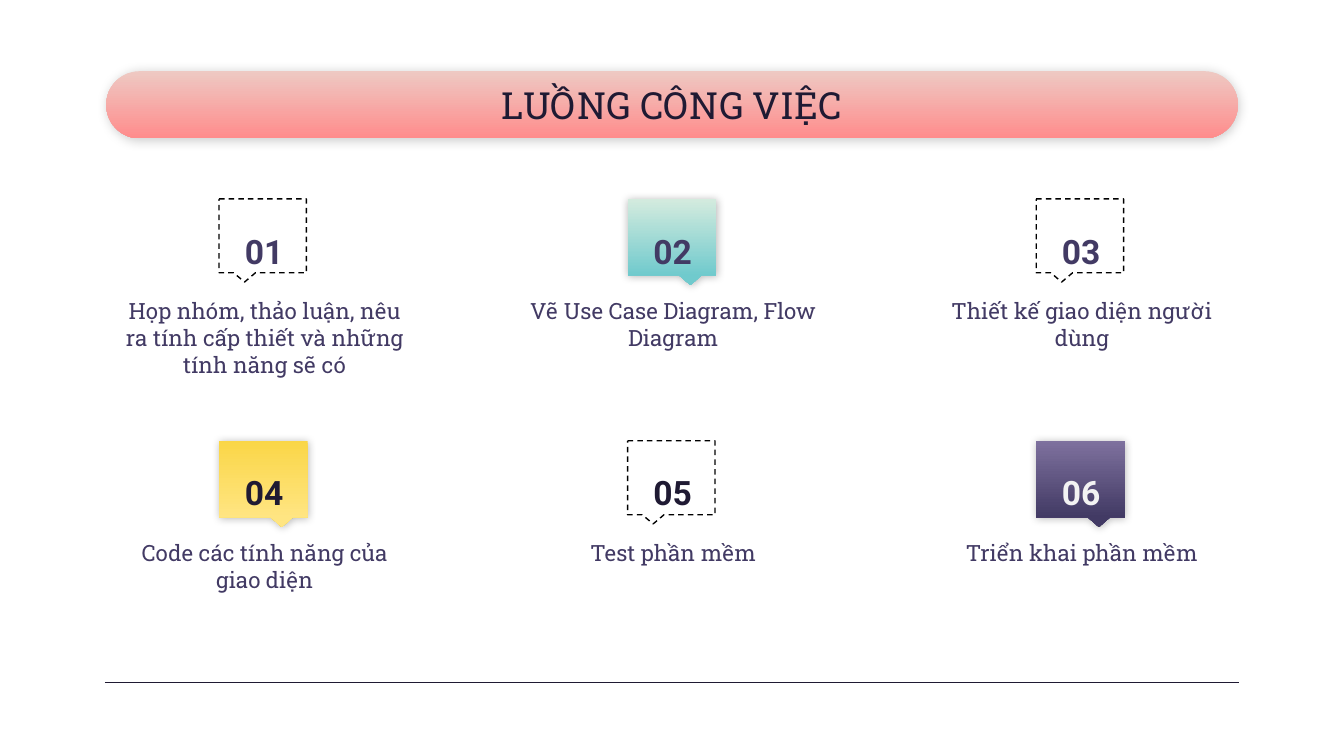
from lxml.etree import SubElement
from pptx import Presentation
from pptx.dml.color import RGBColor
from pptx.enum.dml import MSO_LINE
from pptx.enum.shapes import MSO_CONNECTOR, MSO_SHAPE
from pptx.enum.text import MSO_ANCHOR, MSO_AUTO_SIZE, PP_ALIGN
from pptx.oxml.ns import qn
from pptx.util import Inches, Pt

WIDTH = 10
HEIGHT = WIDTH * 9 / 16
INK, PURPLE = "1F1A33", "423A64"
COLUMNS = 3
COLUMN_STEP, ROW_STEP = 3.04, 1.8
FIRST_CENTER, FIRST_TOP = 1.96, 1.48

# Number, description, number colour, gradient (None for a dashed outline)
STEPS = [
    ("01", "Họp nhóm, thảo luận, nêu ra tính cấp thiết và những tính năng sẽ có",
     PURPLE, None),
    ("02", "Vẽ Use Case Diagram, Flow Diagram", PURPLE, ("D4EBDE", "70CACD")),
    ("03", "Thiết kế giao diện người dùng", PURPLE, None),
    ("04", "Code các tính năng của giao diện", INK, ("FAD647", "FFE582")),
    ("05", "Test phần mềm", INK, None),
    ("06", "Triển khai phần mềm", "F3F3F3", ("7E719E", PURPLE)),
]


def color(value):
    return RGBColor.from_string(value)


def add_outline(page, kind, left, top, width, height, adjustments):
    shape = page.shapes.add_shape(
        kind, Inches(left), Inches(top), Inches(width), Inches(height))
    for index, value in enumerate(adjustments):
        shape.adjustments[index] = value
    shape.shadow.inherit = False
    return shape


def fill_gradient(shape, colors):
    shape.fill.gradient()
    shape.fill.gradient_angle = 270
    for stop, value in zip(shape.fill.gradient_stops, colors):
        stop.color.rgb = color(value)
    shape.line.fill.background()


def add_shadow(shape, opacity, blur, angle):
    effects = shape.element.spPr.find(qn("a:effectLst"))
    shadow = SubElement(effects, qn("a:outerShdw"), blurRad=str(Pt(blur)),
                        dist=str(Pt(0.8)), dir=str(angle * 60000),
                        algn="bl", rotWithShape="0")
    tint = SubElement(shadow, qn("a:srgbClr"), val="000000")
    SubElement(tint, qn("a:alpha"), val=str(opacity * 1000))


def write_text(box, text, font, size, ink, anchor, bottom=0.1, bold=False):
    frame = box.text_frame
    frame.text = text
    frame.word_wrap = True
    frame.auto_size = MSO_AUTO_SIZE.NONE
    frame.vertical_anchor = anchor
    frame.margin_left = frame.margin_right = frame.margin_top = Inches(0.1)
    frame.margin_bottom = Inches(bottom)
    para = frame.paragraphs[0]
    para.alignment = PP_ALIGN.CENTER
    for span in para.runs:
        span.font.name = font
        span.font.size = Pt(size)
        span.font.bold = bold
        span.font.color.rgb = color(ink)
    return para


def add_label(page, left, top, width, height, *style, **options):
    box = page.shapes.add_textbox(
        Inches(left), Inches(top), Inches(width), Inches(height))
    para = write_text(box, *style, **options)
    para.space_after = Pt(16)


def add_banner(page, text):
    banner = add_outline(page, MSO_SHAPE.ROUNDED_RECTANGLE,
                         0.79, 0.53, 8.42, 0.5, [0.5])
    fill_gradient(banner, ("EEC9C3", "FF8C8C"))
    add_shadow(banner, 20, 5.6, 66)

    # The title lies on top of the banner
    title = page.shapes.title
    title.left, title.top = Inches(2.47), Inches(0.53)
    title.width, title.height = Inches(5.06), Inches(0.5)
    write_text(title, text, "Roboto Slab", 20, INK, MSO_ANCHOR.MIDDLE)
    banner.element.addnext(title.element)


def add_footer_line(page):
    line = page.shapes.add_connector(
        MSO_CONNECTOR.STRAIGHT, Inches(0.78), Inches(5.08),
        Inches(9.22), Inches(5.08))
    line.line.color.rgb = color(INK)
    line.line.width = Pt(0.75)
    SubElement(line.element.spPr, qn("a:effectLst"))


def add_callout(page, center, top, gradient):
    width, height = (0.66, 0.57) if gradient else (0.65, 0.55)
    callout = add_outline(page, MSO_SHAPE.ROUNDED_RECTANGULAR_CALLOUT,
                          center - 0.33, top, width, height,
                          [-0.208, 0.625, 0])
    if gradient:
        callout.element.spPr.find(qn("a:xfrm")).set("flipH", "1")
        fill_gradient(callout, gradient)
        add_shadow(callout, 27, 4.5, 63)
    else:
        callout.fill.background()
        callout.line.color.rgb = color("000000")
        callout.line.width = Pt(0.75)
        callout.line.dash_style = MSO_LINE.DASH


def add_step(page, index, number, description, ink, gradient):
    row, column = divmod(index, COLUMNS)
    center = FIRST_CENTER + column * COLUMN_STEP
    top = FIRST_TOP + row * ROW_STEP
    add_callout(page, center, top, gradient)
    add_label(page, center - 0.33, top + 0.17, 0.67, 0.33, number,
              "Roboto", 18, ink, MSO_ANCHOR.MIDDLE, bottom=0, bold=True)
    add_label(page, center - 1.17, top + 0.63, 2.36, 0.83, description,
              "Roboto Slab", 12, PURPLE, MSO_ANCHOR.TOP)


def main():
    deck = Presentation()
    deck.slide_width, deck.slide_height = Inches(WIDTH), Inches(HEIGHT)
    page = deck.slides.add_slide(deck.slide_layouts[5])
    add_banner(page, "LUỒNG CÔNG VIỆC")
    add_footer_line(page)
    for index, step in enumerate(STEPS):
        add_step(page, index, *step)
    deck.save("out.pptx")


if __name__ == "__main__":
    main()
